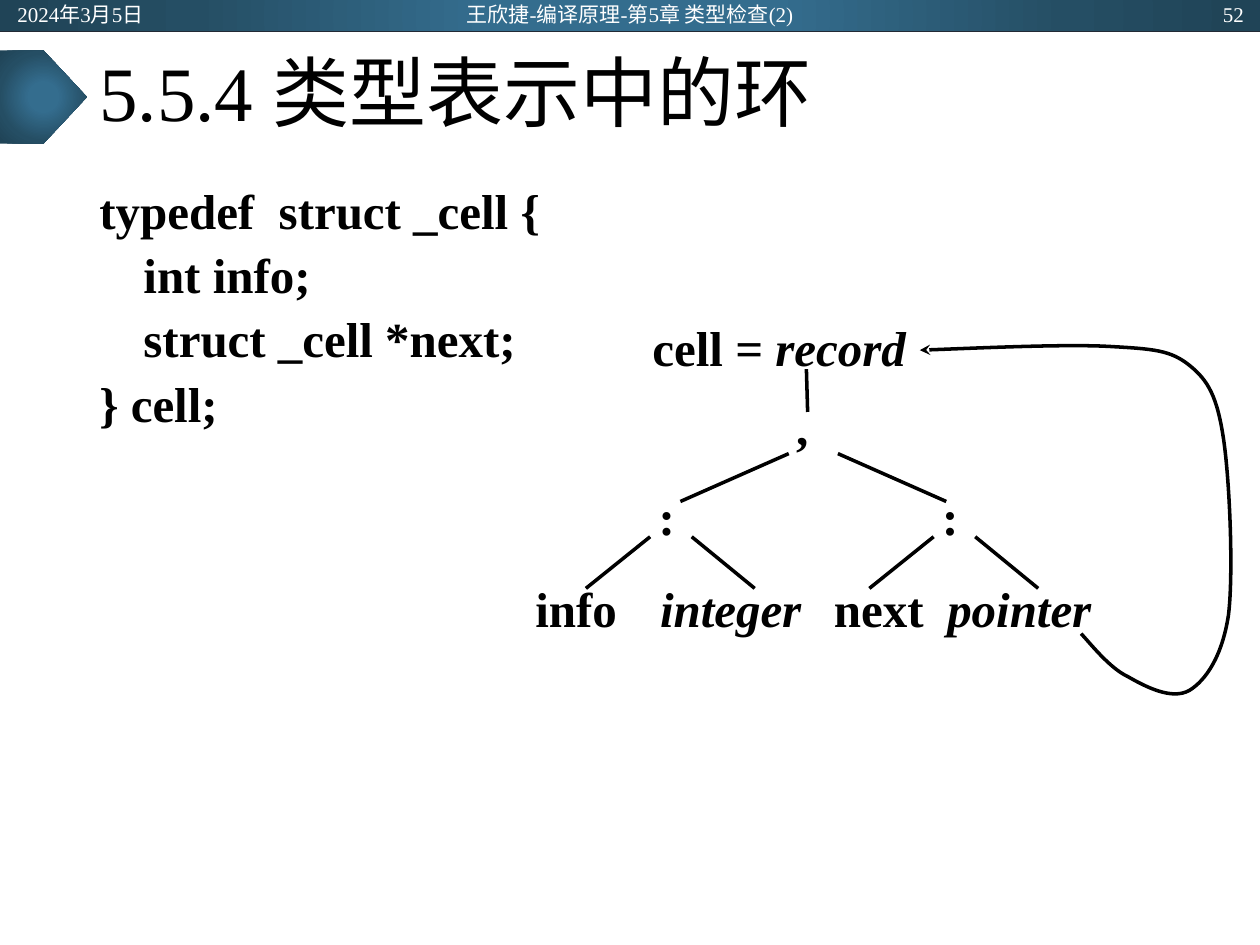
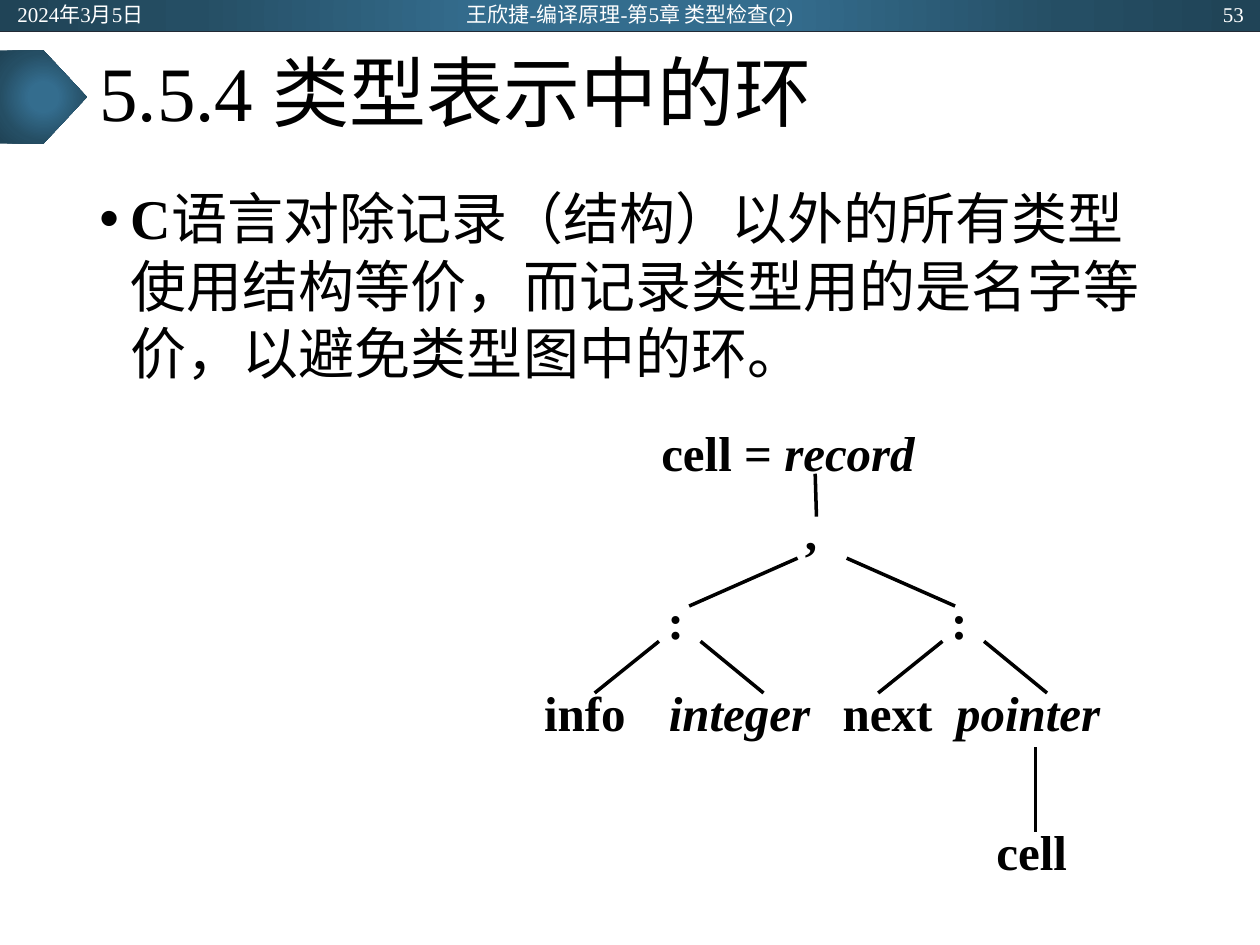
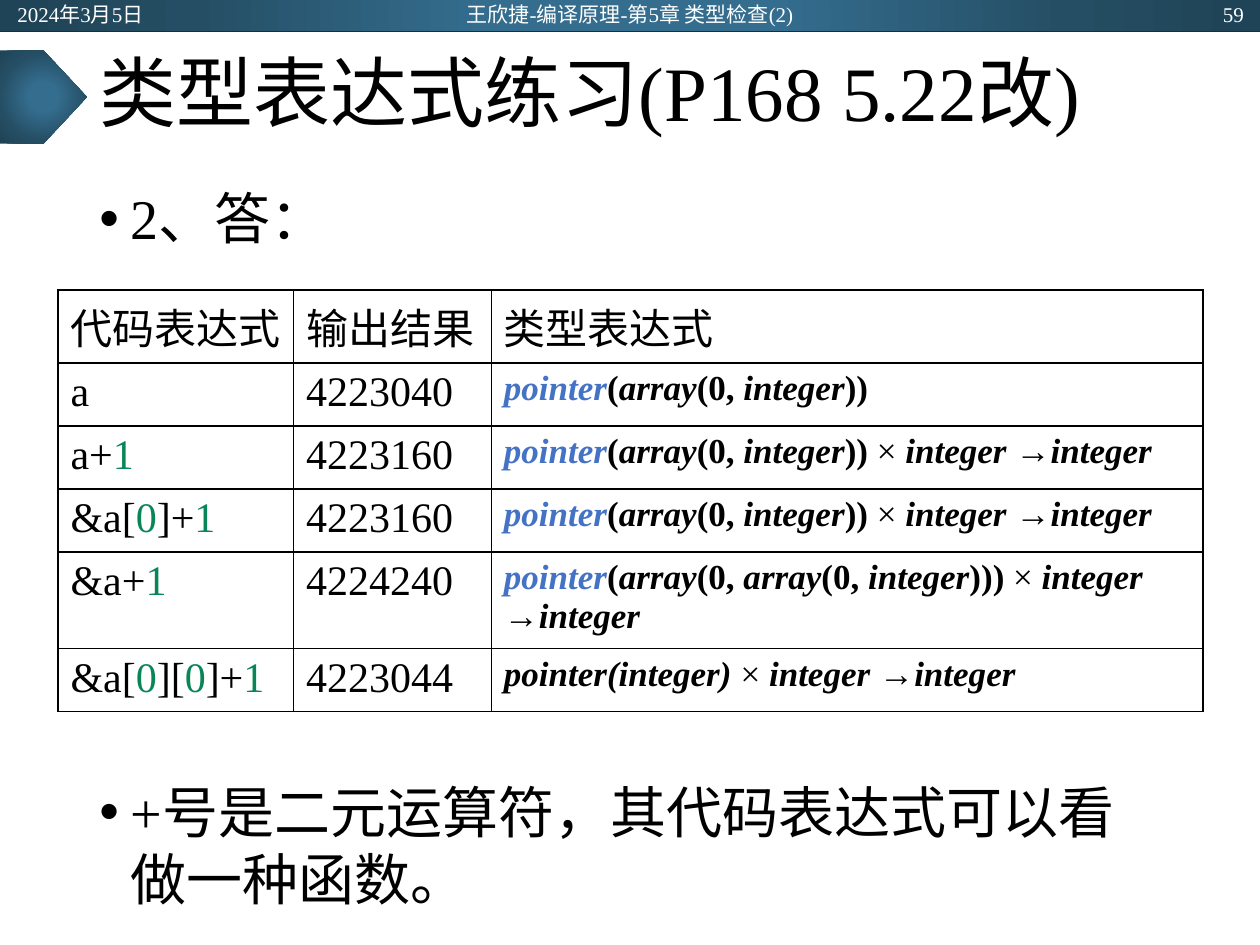
from itertools import groupby

from lxml import etree
from pptx import Presentation
from pptx.dml.color import RGBColor
from pptx.enum.shapes import MSO_CONNECTOR as CONN, MSO_SHAPE as SHAPE
from pptx.enum.text import MSO_ANCHOR as ANCHOR, PP_ALIGN as ALIGN
from pptx.oxml import parse_xml
from pptx.oxml.ns import nsdecls, qn
from pptx.util import Inches, Pt

LATIN, CJK = "Times New Roman", "Noto Sans CJK SC"
COLORS = {
    "text": "000000",
    "white": "FFFFFF",
    "rule": "222A35",
    "blue": "4472C4",
    "green": "098658",
}
GRADIENT = [(0, "346D8E"), (23, "346D8E"), (69, "254E64"), (97, "204457")]
STYLE_COLORS = {"g": "green", "l": "blue"}
DATE, COURSE = "2024年3月5日", "王欣捷-编译原理-第5章 类型检查(2)"

TREE_LABELS = [
    (5.08, 2.51, 2.31, [("cell = ", "b"), ("record", "bi")]),
    (6.22, 3.14, 0.7, [(",", "b")]),
    (5.13, 3.85, 0.7, [(":", "b")]),
    (7.38, 3.85, 0.7, [(":", "b")]),
    (4.15, 4.58, 1, [("info", "b")]),
    (5.14, 4.58, 1.36, [("integer", "bi")]),
    (6.52, 4.58, 1, [("next", "b")]),
    (7.42, 4.58, 1.84, [("pointer", "bi")]),
]
TREE_BRANCHES = [
    (6.4, 2.93, 6.41, 3.27),
    (6.26, 3.6, 5.4, 3.98),
    (6.65, 3.6, 7.51, 3.98),
    (5.16, 4.26, 4.65, 4.67),
    (5.49, 4.26, 5.99, 4.67),
    (7.41, 4.26, 6.9, 4.67),
    (7.74, 4.26, 8.24, 4.67),
]
LOOP = [
    (8.58, 5.03),
    (8.64, 5.09), (8.8, 5.3), (8.95, 5.37),
    (9.09, 5.45), (9.3, 5.56), (9.44, 5.48),
    (9.57, 5.4), (9.7, 5.21), (9.75, 4.88),
    (9.79, 4.55), (9.76, 3.81), (9.71, 3.48),
    (9.66, 3.15), (9.59, 3.02), (9.44, 2.9),
    (9.29, 2.78), (9.16, 2.77), (8.8, 2.75),
    (8.44, 2.73), (7.61, 2.77), (7.3, 2.78),
]
TO_INTEGER = [(" ×", ""), (" integer ", "bi"), ("→", ""), ("integer", "bi")]


def rgb(name):
    """Return the named colour."""
    return RGBColor.from_string(COLORS[name])


def format_run(r, size, color="text", bold=False, italic=False):
    """Give a run its size, colour, weight and fonts."""
    r.font.size = Pt(size)
    r.font.bold = bold
    r.font.italic = italic
    r.font.color.rgb = rgb(color)
    r.font.name = LATIN
    etree.SubElement(r.font._element, qn("a:ea")).set("typeface", CJK)


def add_runs(p, runs, size):
    """Add (text, style) runs: b bold, i italic, g green, l blue."""
    for text, style in runs:
        r = p.add_run()
        r.text = text
        color = next((STYLE_COLORS[c] for c in style if c in STYLE_COLORS), "text")
        format_run(r, size, color, "b" in style, "i" in style)


def add_box(s, left, top, width, height):
    """Add a wrapping text box and return its text frame."""
    tf = s.shapes.add_textbox(Inches(left), Inches(top), Inches(width), Inches(height)).text_frame
    tf.word_wrap = True
    return tf


def add_line_text(s, box, text, size, color, align=ALIGN.LEFT):
    """Add one vertically centred line of text and return its paragraph."""
    tf = add_box(s, *box)
    tf.vertical_anchor = ANCHOR.MIDDLE
    p = tf.paragraphs[0]
    p.text = text
    p.alignment = align
    format_run(p.runs[0], size, color)
    return p


def add_gradient_shape(s, kind, left, top, width, height):
    """Add a preset shape with the shared radial gradient."""
    sp = s.shapes.add_shape(kind, Inches(left), Inches(top), Inches(width), Inches(height))
    sp.shadow.inherit = False
    sp.line.fill.background()
    sp.fill.background()
    stops = "".join(
        f'<a:gs pos="{pos * 1000}"><a:srgbClr val="{color}"/></a:gs>' for pos, color in GRADIENT
    )
    grad = parse_xml(
        f'<a:gradFill {nsdecls("a")} rotWithShape="1"><a:gsLst>{stops}</a:gsLst>'
        '<a:path path="circle"><a:fillToRect l="50000" t="50000" r="50000" b="50000"/></a:path>'
        "</a:gradFill>"
    )
    props = sp._element.spPr
    props.replace(props.find(qn("a:noFill")), grad)


def add_line(s, x1, y1, x2, y2, color="text", width=2):
    """Add a straight line without a shadow."""
    c = s.shapes.add_connector(CONN.STRAIGHT, Inches(x1), Inches(y1), Inches(x2), Inches(y2))
    c.line.color.rgb = rgb(color)
    c.line.width = Pt(width)
    etree.SubElement(c._element.spPr, qn("a:effectLst"))


def add_slide(prs, title, number):
    """Add a slide with the header band, pentagon, title and header texts."""
    s = prs.slides.add_slide(prs.slide_layouts[6])
    add_gradient_shape(s, SHAPE.RECTANGLE, 0, 0, 10, 0.25)
    add_line(s, 0, 0.25, 10, 0.25, "rule", 0.5)
    add_gradient_shape(s, SHAPE.PENTAGON, 0, 0.4, 0.69, 0.74)
    p = add_line_text(s, (0.69, 0.25, 8.62, 1.04), title, 44, "text")
    p.line_spacing = 0.9
    for left, width, text, align in [
        (0.04, 2.25, DATE, ALIGN.LEFT),
        (3.31, 3.38, COURSE, ALIGN.CENTER),
        (7.72, 2.25, str(number), ALIGN.RIGHT),
    ]:
        add_line_text(s, (left, 0.01, width, 0.2), text, 12, "white", align)
    return s


def add_code(s, top, lines):
    """Add bold code lines, each with its indent in inches."""
    tf = add_box(s, 0.69, top, 8.62, 2.14)
    for i, (indent, text) in enumerate(lines):
        p = tf.add_paragraph() if i else tf.paragraphs[0]
        p.line_spacing = Pt(36.7)
        p._p.get_or_add_pPr().set("marL", str(Inches(indent)))
        add_runs(p, [(text, "b")], 28)


def add_bullet(s, top, height, runs):
    """Add a bulleted paragraph with a hanging indent."""
    p = add_box(s, 0.69, top, 8.62, height).paragraphs[0]
    p.line_spacing = Pt(38.5)
    props = p._p.get_or_add_pPr()
    props.set("marL", str(Inches(0.25)))
    props.set("indent", str(-Inches(0.25)))
    etree.SubElement(props, qn("a:buFont")).set("typeface", "Arial")
    etree.SubElement(props, qn("a:buChar")).set("char", "•")
    add_runs(p, runs, 32)


def add_label(s, left, top, width, runs):
    """Add a tree label with narrow insets."""
    tf = add_box(s, left, top, width, 0.43)
    tf.margin_left, tf.margin_right = Inches(0.1), Inches(0.02)
    tf.margin_top = tf.margin_bottom = Inches(0.01)
    add_runs(tf.paragraphs[0], runs, 28)


def add_type_tree(s, dx=0, dy=0):
    """Draw the type graph of cell, moved by dx and dy."""
    for left, top, width, runs in TREE_LABELS:
        add_label(s, left + dx, top + dy, width, runs)
    for x1, y1, x2, y2 in TREE_BRANCHES:
        add_line(s, x1 + dx, y1 + dy, x2 + dx, y2 + dy)


def add_curved_arrow(s, points):
    """Draw a chain of cubic curves that ends in an arrowhead."""
    start, *rest = [(Inches(x), Inches(y)) for x, y in points]
    builder = s.shapes.build_freeform(*start)
    builder.add_line_segments(rest, close=False)
    sp = builder.convert_to_shape()
    sp.shadow.inherit = False
    sp.fill.background()
    sp.line.color.rgb = rgb("text")
    sp.line.width = Pt(2)
    etree.SubElement(sp.line._get_or_add_ln(), qn("a:tailEnd")).set("type", "stealth")
    outline = next(sp._element.iter(qn("a:path")))
    segments = outline.findall(qn("a:lnTo"))
    for i in range(0, len(segments), 3):
        curve = etree.SubElement(outline, qn("a:cubicBezTo"))
        for segment in segments[i:i + 3]:
            curve.append(segment[0])
            outline.remove(segment)


def pointer_to_array(depth):
    """Return the runs of a pointer to arrays nested to the depth."""
    arrays = [("array", "bi"), ("(0, ", "b")] * depth
    return [("pointer", "bil"), ("(", "b"), *arrays, ("integer", "bi"), (")" * (depth + 1), "b")]


def code_runs(code):
    """Return the runs of a code expression with green numbers."""
    return [("".join(part), "g" if digit else "") for digit, part in groupby(code, str.isdigit)]


def format_cell(cell, runs, size):
    """Fill a cell with runs and give it thin black borders."""
    cell.fill.background()
    add_runs(cell.text_frame.paragraphs[0], runs, size)
    props = cell._tc.get_or_add_tcPr()
    for i, side in enumerate("LRTB"):
        border = parse_xml(
            f'<a:ln{side} {nsdecls("a")} w="{Pt(1)}"><a:solidFill>'
            f'<a:srgbClr val="{COLORS["text"]}"/></a:solidFill></a:ln{side}>'
        )
        props.insert(i, border)


def add_answer_table(s, rows, widths, heights):
    """Add the table of code, output and type expressions."""
    frame = s.shapes.add_table(
        len(rows), len(widths), Inches(0.46), Inches(2.3), Inches(sum(widths)), Inches(sum(heights))
    )
    table = frame.table
    table.first_row = table.horz_banding = False
    for column, width in zip(table.columns, widths):
        column.width = Inches(width)
    for i, (row, height) in enumerate(zip(rows, heights)):
        table.rows[i].height = Inches(height)
        for j, runs in enumerate(row):
            format_cell(table.cell(i, j), runs, 20 if i and j == 2 else 24)


def main():
    """Build the three slides."""
    prs = Presentation()
    prs.slide_width, prs.slide_height = Inches(10), Inches(7.5)

    s = add_slide(prs, "5.5.4 类型表示中的环", 52)
    add_code(s, 1.34, [
        (0, "typedef  struct _cell {"),
        (0.35, "int info;"),
        (0.35, "struct _cell *next;"),
        (0, "} cell;"),
    ])
    add_type_tree(s)
    add_curved_arrow(s, LOOP)

    s = add_slide(prs, "5.5.4 类型表示中的环", 53)
    add_bullet(s, 1.41, 1.7, [
        ("C", "b"),
        ("语言对除记录（结构）以外的所有类型使用结构等价，而记录类型用的是名字等价，以避免类型图中的环。", ""),
    ])
    add_type_tree(s, 0.07, 0.83)
    add_label(s, 7.81, 6.51, 0.91, [("cell", "b")])
    add_line(s, 8.22, 5.93, 8.22, 6.6)

    s = add_slide(prs, "类型表达式练习(P168 5.22改)", 59)
    add_bullet(s, 1.41, 0.64, [("2、答：", "")])
    header = [[(text, "")] for text in ("代码表达式", "输出结果", "类型表达式")]
    answers = [
        ("a", "4223040", pointer_to_array(1)),
        ("a+1", "4223160", pointer_to_array(1) + TO_INTEGER),
        ("&a[0]+1", "4223160", pointer_to_array(1) + TO_INTEGER),
        ("&a+1", "4224240", pointer_to_array(2) + TO_INTEGER),
        ("&a[0][0]+1", "4223044", [("pointer(integer)", "bi")] + TO_INTEGER),
    ]
    rows = [header] + [[code_runs(code), [(out, "")], kind] for code, out, kind in answers]
    add_answer_table(s, rows, [1.87, 1.57, 5.65], [0.58, 0.47, 0.47, 0.47, 0.71, 0.47])
    add_bullet(s, 6.12, 1.17, [("+号是二元运算符，其代码表达式可以看做一种函数。", "")])

    prs.save("out.pptx")


if __name__ == "__main__":
    main()
